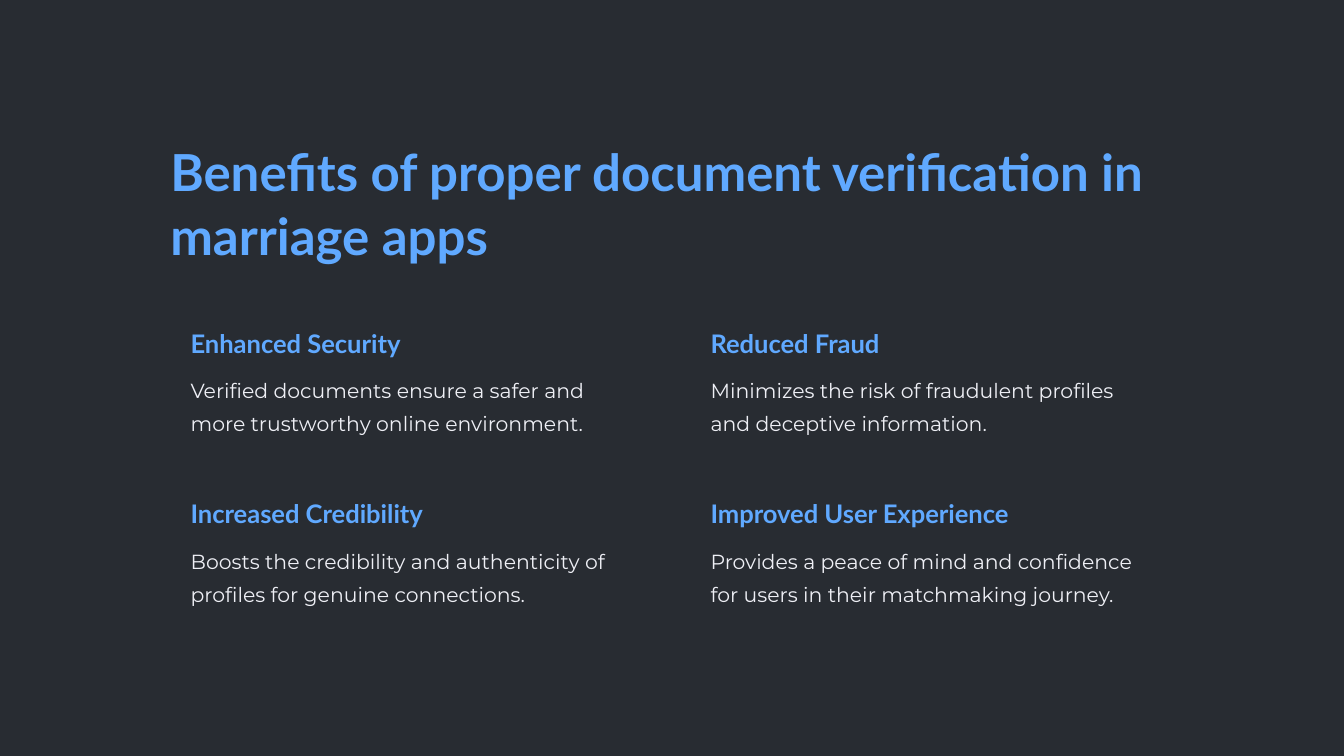
from pptx import Presentation
from pptx.dml.color import RGBColor
from pptx.enum.shapes import MSO_SHAPE
from pptx.util import Pt

RECTANGLE = MSO_SHAPE.RECTANGLE
ROUNDED = MSO_SHAPE.ROUNDED_RECTANGLE
CHARCOAL = RGBColor(0x28, 0x2C, 0x32)
BLUE = RGBColor(0x60, 0xA9, 0xFF)
PALE = RGBColor(0xEE, 0xEF, 0xF5)

SLIDE_WIDTH, SLIDE_HEIGHT = 1152, 648
LEFT = 138.9
CARD_TOP = 258.4
CARD_WIDTH, CARD_HEIGHT = 428.4, 128.9
COLUMN_STEP, ROW_STEP = 445.7, 146.1
PADDING = 17.4
HEADING_WIDTH = 218.9

BENEFITS = [
    ("Enhanced Security",
     "Verified documents ensure a safer and more trustworthy online environment.",
     HEADING_WIDTH),
    ("Reduced Fraud",
     "Minimizes the risk of fraudulent profiles and deceptive information.",
     HEADING_WIDTH),
    ("Increased Credibility",
     "Boosts the credibility and authenticity of profiles for genuine connections.",
     HEADING_WIDTH),
    ("Improved User Experience",
     "Provides a peace of mind and confidence for users in their matchmaking journey.",
     276),
]


class Deck:
    STYLES = {
        "title": (54.7, BLUE, {"name": "Lato", "size": Pt(43.7), "bold": True}),
        "heading": (27.3, BLUE, {"name": "Lato", "size": Pt(21.87), "bold": True}),
        "body": (28, PALE, {"name": "Montserrat", "size": Pt(17.5), "bold": False}),
    }

    def __init__(self):
        self.presentation = Presentation()
        self.presentation.slide_width = Pt(SLIDE_WIDTH)
        self.presentation.slide_height = Pt(SLIDE_HEIGHT)
        blank = self.presentation.slide_layouts[6]
        self.slide = self.presentation.slides.add_slide(blank)

    def panel(self, kind, left, top, width, height):
        panel = self.slide.shapes.add_shape(
            kind, Pt(left), Pt(top), Pt(width), Pt(height))
        panel.shadow.inherit = False
        panel.fill.solid()
        panel.fill.fore_color.rgb = CHARCOAL
        panel.line.fill.background()
        return panel

    def text(self, wording, style, left, top, width, height, wrap=True):
        spacing, color, font_format = self.STYLES[style]
        box = self.slide.shapes.add_textbox(
            Pt(left), Pt(top), Pt(width), Pt(height))
        box.text_frame.word_wrap = wrap
        paragraph = box.text_frame.paragraphs[0]
        paragraph.line_spacing = Pt(spacing)
        run = paragraph.add_run()
        run.text = wording
        for attribute, value in font_format.items():
            setattr(run.font, attribute, value)
        run.font.color.rgb = color

    def benefit(self, heading, body, heading_width, left, top):
        card = self.panel(ROUNDED, left, top, CARD_WIDTH, CARD_HEIGHT)
        card.adjustments[0] = 0.08
        inner = left + PADDING
        self.text(heading, "heading", inner, top + 18, heading_width, 27.4, wrap=False)
        self.text(body, "body", inner, top + 55.5, CARD_WIDTH - 2 * PADDING, 56.2)


def main():
    deck = Deck()
    deck.panel(RECTANGLE, 0, 0, SLIDE_WIDTH, SLIDE_HEIGHT)
    deck.text("Benefits of proper document verification in marriage apps",
              "title", LEFT, 114.4, 874.8, 109.4)
    for index, (heading, body, heading_width) in enumerate(BENEFITS):
        row, column = divmod(index, 2)
        deck.benefit(heading, body, heading_width,
                     LEFT + column * COLUMN_STEP, CARD_TOP + row * ROW_STEP)
    deck.presentation.save("out.pptx")


if __name__ == "__main__":
    main()
